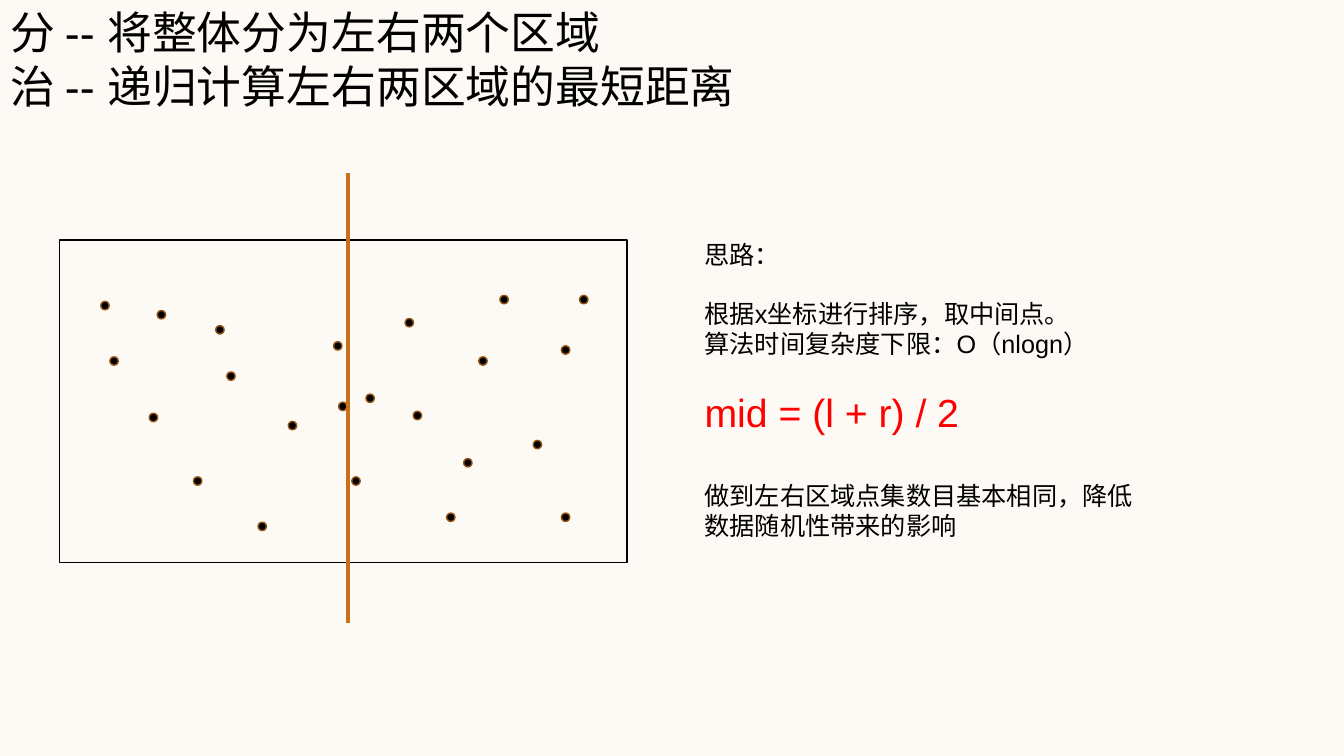
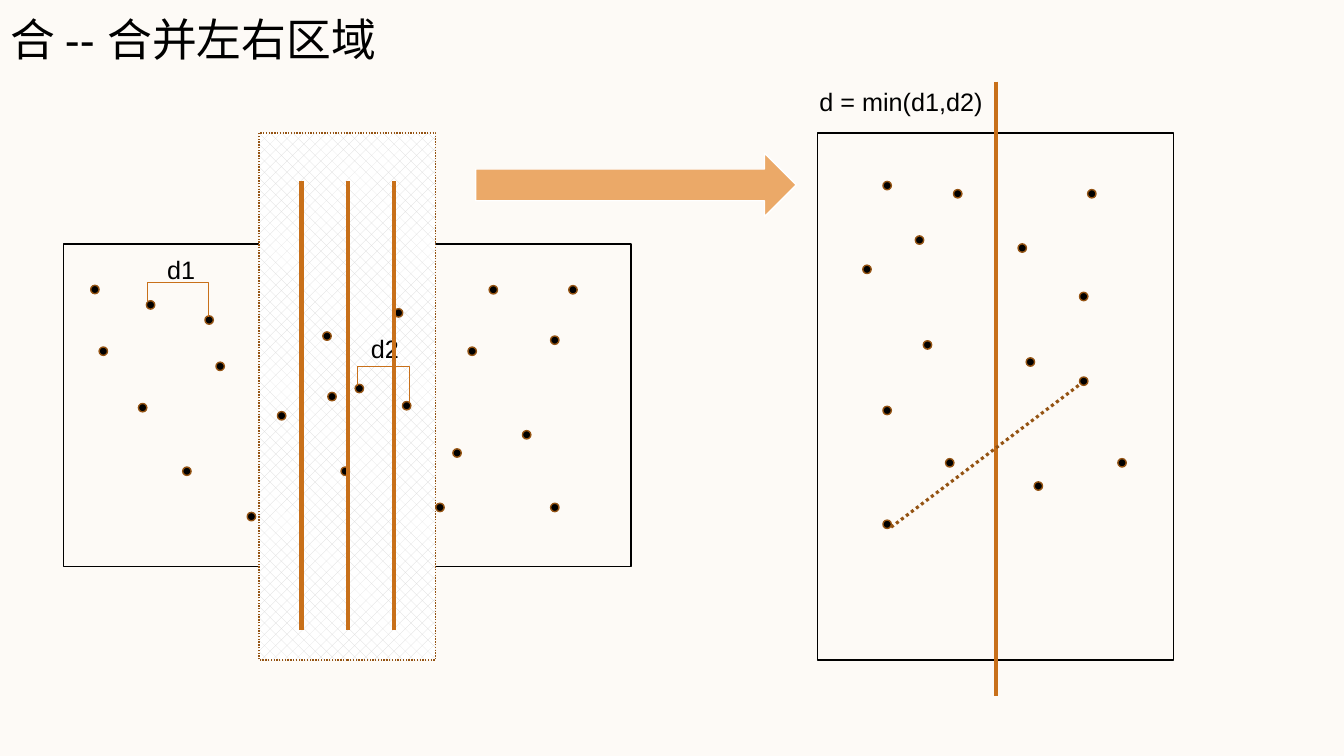
"""Build two slides that explain the divide and conquer search for the closest pair."""
from dataclasses import dataclass

from lxml import etree
from pptx import Presentation
from pptx.dml.color import RGBColor
from pptx.enum import dml, lang, shapes, text
from pptx.oxml.ns import qn
from pptx.util import Pt


@dataclass(frozen=True)
class Theme:
    """Colours, font and type sizes of the deck."""
    paper: str = "FDFAF6"
    ink: str = "000000"
    accent: str = "C8701A"
    rim: str = "945313"
    arrow: str = "EBA968"
    white: str = "FFFFFF"
    hatch: str = "D9D9D9"
    alert: str = "FF0000"
    font: str = "Arial"
    title: int = 32
    formula: int = 28
    body: int = 18


THEME = Theme()
DOT = 6
DIVIDE_TITLE = ["分 -- 将整体分为左右两个区域", "治 -- 递归计算左右两区域的最短距离"]
MERGE_TITLE = ["合 -- 合并左右区域"]
IDEA = [
    ("思路：", {}),
    ("根据x坐标进行排序，取中间点。", {"before": 21}),
    ("算法时间复杂度下限：O（nlogn）", {}),
    ("mid = (l + r) / 2", {"before": 21, "size": THEME.formula, "color": THEME.alert}),
    ("做到左右区域点集数目基本相同，降低数据随机性带来的影响", {"before": 32}),
]
CLOUD = [
    (78.5, 254.9), (112.3, 221.8), (106.6, 295.2), (154.1, 232.6), (138.2, 340.6),
    (162, 265.7), (342, 254.9), (289.4, 227.5), (238.3, 244.1), (380.9, 314.6),
    (295.2, 293.8), (331.2, 327.6), (319, 366.5), (184.3, 373), (205.9, 301),
    (251.3, 340.6), (357.1, 211), (401, 247), (414, 211), (401, 366.5),
    (241.9, 287.3), (261.4, 281.5),
]
MERGE_SHIFT = (-7.7, -7)
STRIP_CLOUD = [
    (630.7, 129.6), (616.3, 189.4), (681.1, 135.4), (653.8, 168.5), (659.5, 243.4),
    (630.7, 290.2), (675.4, 327.6), (630.7, 371.5), (727.2, 174.2), (771.1, 208.8),
    (776.9, 135.4), (733, 255.6), (798.5, 327.6), (738.7, 344.2), (771.1, 269.3),
]
BRACKETS = [
    ((105.1, 215.3), (149, 226.1), 13.5),
    ((254.9, 275.8), (292.3, 287.3), 14),
]
LABELS = [
    ("d1", (112.3, 177.8, 45.4, 28.8)),
    ("d2", (257.8, 234.7, 36.7, 28.8)),
]
MIDDLE = 248.4
STRIP_STEP = 33.1
REGION = (405.4, 230.4)
STRIP_TOP, STRIP_HEIGHT = 95, 376.6


def rgb(color):
    """Turn a hex string into a colour."""
    return RGBColor.from_string(color)


def write(para, words, size=THEME.body, color=THEME.ink, before=0):
    """Fill one left-aligned paragraph without a bullet."""
    para.alignment = text.PP_ALIGN.LEFT
    para.space_before = Pt(before)
    properties = para._p.get_or_add_pPr()
    properties.set("marL", "0")
    properties.set("indent", "0")
    etree.SubElement(properties, qn("a:buNone"))
    span = para.add_run()
    span.text = words
    span.font.name = THEME.font
    span.font.size = Pt(size)
    span.font.color.rgb = rgb(color)
    span.font.language_id = lang.MSO_LANGUAGE_ID.SIMPLIFIED_CHINESE


def fill_box(box, at, lines):
    """Place a text holder and write its (words, format) lines."""
    box.left, box.top, box.width, box.height = map(Pt, at)
    frame = box.text_frame
    frame.word_wrap = True
    frame.auto_size = text.MSO_AUTO_SIZE.NONE
    frame.vertical_anchor = text.MSO_ANCHOR.TOP
    for index, (words, style) in enumerate(lines):
        write(frame.add_paragraph() if index else frame.paragraphs[0], words, **style)


def set_title(page, lines, at):
    """Write the page title."""
    fill_box(page.shapes.title, at, [(words, {"size": THEME.title}) for words in lines])


def add_label(page, words, at):
    """Add a short text box."""
    fill_box(page.shapes.add_textbox(*map(Pt, at)), at, [(words, {})])


def add_figure(page, kind, at, fill=THEME.paper, line=THEME.ink):
    """Add a flat preset shape."""
    figure = page.shapes.add_shape(kind, *map(Pt, at))
    figure.shadow.inherit = False
    figure.fill.solid()
    figure.fill.fore_color.rgb = rgb(fill)
    figure.line.color.rgb = rgb(line)
    figure.line.width = Pt(1)
    return figure


def add_dots(page, points, shift=(0, 0)):
    """Scatter the dots of a point set."""
    for x, y in points:
        at = (x + shift[0], y + shift[1], DOT, DOT)
        add_figure(page, shapes.MSO_SHAPE.OVAL, at, THEME.ink, THEME.rim)


def add_line(page, start, end, color=THEME.accent, width=3,
             kind=shapes.MSO_CONNECTOR.STRAIGHT):
    """Add a flat connector."""
    line = page.shapes.add_connector(kind, *map(Pt, (*start, *end)))
    line.line.color.rgb = rgb(color)
    line.line.width = Pt(width)
    etree.SubElement(line._element.spPr, qn("a:effectLst"))
    return line


def add_bracket(page, start, end, rise):
    """Join two dots with an elbow that rises above the first one."""
    span, drop = end[0] - start[0], end[1] - start[1]
    left = (start[0] + end[0] - drop) / 2
    top = (start[1] + end[1] - span) / 2
    bracket = add_line(page, (left, top), (left + drop, top + span), width=0.5,
                       kind=shapes.MSO_CONNECTOR.ELBOW)
    properties = bracket._element.spPr
    frame = properties.find(qn("a:xfrm"))
    frame.set("rot", str(270 * 60000))
    frame.set("flipH", "1")
    geometry = properties.find(qn("a:prstGeom"))
    guides = geometry.find(qn("a:avLst"))
    if guides is None:
        guides = etree.SubElement(geometry, qn("a:avLst"))
    bend = round(-rise / drop * 100000)
    etree.SubElement(guides, qn("a:gd"), name="adj1", fmla=f"val {bend}")


def build_divide(deck):
    """Show the split of the point set at its middle."""
    page = deck.slides.add_slide(deck.slide_layouts[1])
    set_title(page, DIVIDE_TITLE, (0, 0, 533.5, 123.8))
    fill_box(page.placeholders[1], (496.1, 167, 324.7, 227.5), IDEA)
    add_figure(page, shapes.MSO_SHAPE.RECTANGLE, (42.5, 171.4, *REGION))
    add_dots(page, CLOUD + [(72, 215.3)])
    add_line(page, (MIDDLE, 123.8), (MIDDLE, 445))


def build_merge(deck):
    """Show the strip around the middle and its enlarged view."""
    page = deck.slides.add_slide(deck.slide_layouts[5])
    rectangle = shapes.MSO_SHAPE.RECTANGLE
    set_title(page, MERGE_TITLE, (0, 5, 277.2, 46))
    add_figure(page, rectangle, (45.4, 174.2, *REGION))
    add_dots(page, [(64.8, 203.8)])

    strip = add_figure(page, rectangle, (185, STRIP_TOP, 126, STRIP_HEIGHT), line=THEME.rim)
    strip.fill.patterned()
    strip.fill.pattern = dml.MSO_PATTERN.PERCENT_25
    strip.fill.fore_color.rgb = rgb(THEME.hatch)
    strip.fill.back_color.rgb = rgb(THEME.white)
    strip.line.dash_style = dml.MSO_LINE.ROUND_DOT

    add_dots(page, CLOUD, MERGE_SHIFT)
    for bracket in BRACKETS:
        add_bracket(page, *bracket)
    for words, at in LABELS:
        add_label(page, words, at)
    for step in (-1, 0, 1):
        x = MIDDLE + step * STRIP_STEP
        add_line(page, (x, 129.6), (x, 450))

    add_figure(page, rectangle, (583.9, STRIP_TOP, 254.2, STRIP_HEIGHT))
    add_line(page, (711.4, 58.3), (711.4, 496.8))
    add_dots(page, STRIP_CLOUD)
    add_label(page, "d = min(d1,d2)", (578.2, 58.3, 133.2, 28.8))
    pair = add_line(page, (636.5, 376.6), (771.8, 274.3), THEME.rim, 2.25)
    pair.line.dash_style = dml.MSO_LINE.ROUND_DOT
    add_figure(page, shapes.MSO_SHAPE.RIGHT_ARROW, (339.8, 109.4, 229, 45.4),
               THEME.arrow, THEME.white)


def main():
    """Build and save the deck."""
    deck = Presentation()
    deck.slide_width, deck.slide_height = Pt(960), Pt(540)
    backdrop = deck.slide_master.background.fill
    backdrop.solid()
    backdrop.fore_color.rgb = rgb(THEME.paper)
    build_divide(deck)
    build_merge(deck)
    deck.save("out.pptx")


if __name__ == "__main__":
    main()
